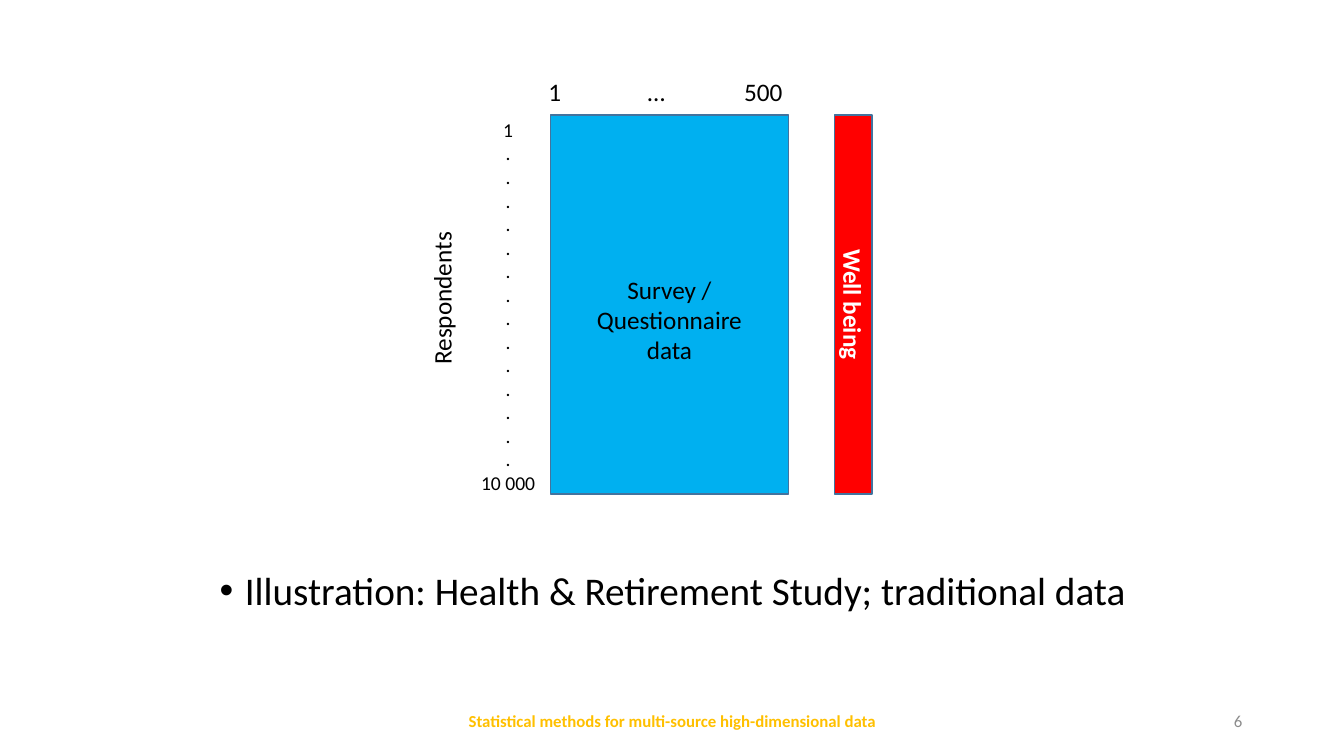
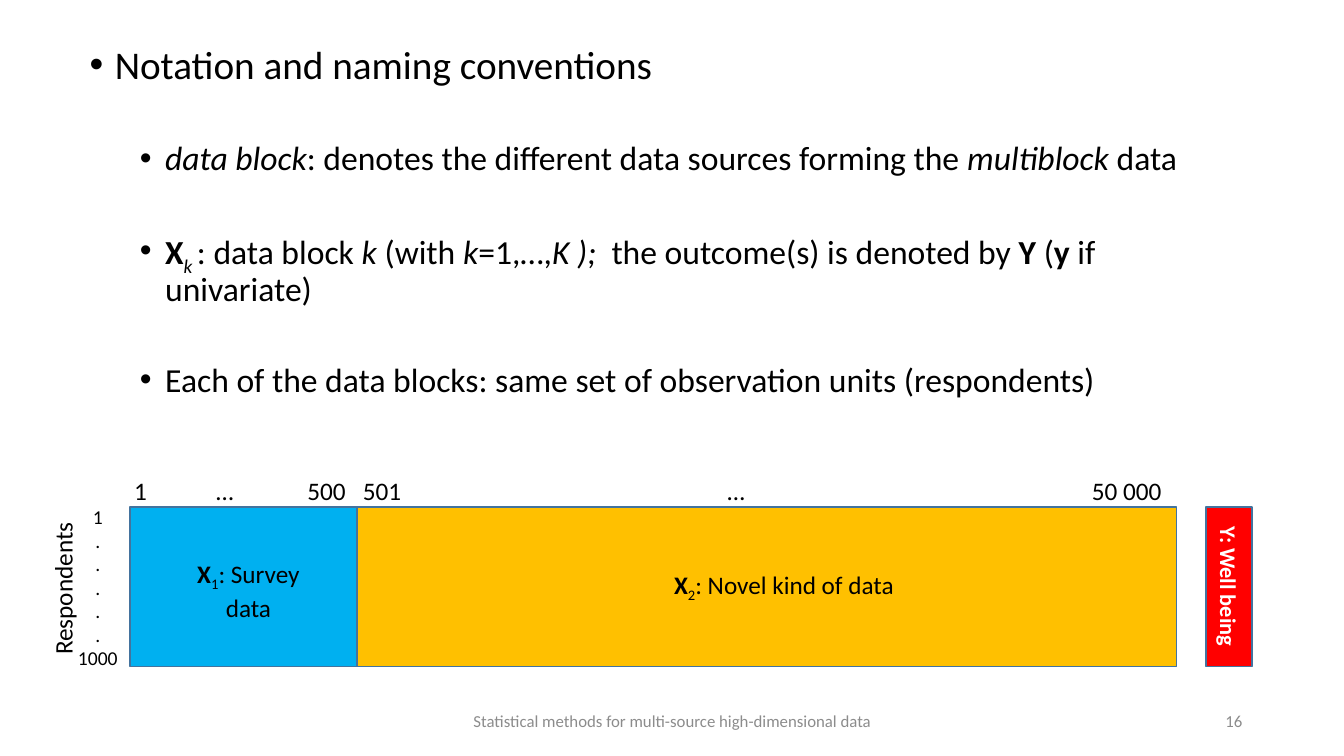
from pptx import Presentation
from pptx.dml.color import RGBColor
from pptx.enum.shapes import MSO_SHAPE as Shape
from pptx.enum.text import MSO_ANCHOR as Anchor, PP_ALIGN as Align
from pptx.oxml.ns import qn
from pptx.util import Inches, Pt
from lxml.etree import SubElement

BLACK = RGBColor(0x00, 0x00, 0x00)
WHITE = RGBColor(0xFF, 0xFF, 0xFF)
GRAY = RGBColor(0x8C, 0x8C, 0x8C)
GOLD = RGBColor(0xFF, 0xC0, 0x00)
BLUE = RGBColor(0x00, 0xB0, 0xF0)
RED = RGBColor(0xFF, 0x00, 0x00)
EDGE = RGBColor(0x43, 0x73, 0x9E)
FONT = "Calibri"
FOOTER = "Statistical methods for multi-source high-dimensional data"
INSET = (0.1, 0.05, 0.1, 0.05)


def write(frame, paragraphs, size=18, color=BLACK, bold=None,
          align=Align.CENTER, anchor=Anchor.TOP, inset=INSET):
    frame.word_wrap = True
    frame.vertical_anchor = anchor
    (frame.margin_left, frame.margin_top,
     frame.margin_right, frame.margin_bottom) = map(Inches, inset)
    for index, runs in enumerate(paragraphs):
        paragraph = frame.add_paragraph() if index else frame.paragraphs[0]
        paragraph.alignment = align
        paragraph.font.name = FONT
        paragraph.font.size = Pt(size)
        paragraph.font.color.rgb = color
        paragraph.font.bold = bold
        for words, style in [(runs, "")] if isinstance(runs, str) else runs:
            run = paragraph.add_run()
            run.text = words
            if "b" in style:
                run.font.bold = True
            if "i" in style:
                run.font.italic = True
            if "s" in style:
                run.font._element.set("baseline", "-25000")


def add_text(slide, box, paragraphs, **style):
    label = slide.shapes.add_textbox(*map(Inches, box))
    write(label.text_frame, paragraphs, **style)
    return label


def add_bullets(slide, box, items, align=Align.LEFT):
    body = add_text(slide, box, [runs for _, runs in items], align=align)
    for paragraph, (level, _) in zip(body.text_frame.paragraphs, items):
        paragraph.level = level
        paragraph.font.size = Pt(24 if level else 28)
        paragraph.line_spacing = 0.9
        paragraph.space_before = Pt(38.5 if level else 10)
        properties = paragraph._p.get_or_add_pPr()
        properties.set("marL", str(Inches(0.25 + 0.5 * level)))
        properties.set("indent", str(Inches(-0.25)))
        bullet_font = properties.makeelement(qn("a:buFont"), {"typeface": "Arial"})
        bullet = properties.makeelement(qn("a:buChar"), {"char": "•"})
        defaults = properties.find(qn("a:defRPr"))
        defaults.addprevious(bullet_font)
        defaults.addprevious(bullet)


def add_block(slide, box, fill, paragraphs, **style):
    block = slide.shapes.add_shape(Shape.RECTANGLE, *map(Inches, box))
    block.shadow.inherit = False
    block.fill.solid()
    block.fill.fore_color.rgb = fill
    block.line.color.rgb = EDGE
    block.line.width = Pt(1)
    write(block.text_frame, paragraphs, anchor=Anchor.MIDDLE, **style)
    return block


def add_outcome(slide, box, title, size):
    outcome = add_block(slide, box, RED, [title], size=size, color=WHITE,
                        bold=True, inset=(0, 0, 0, 0))
    outcome.text_frame._txBody.bodyPr.set("vert", "vert")


def add_columns(slide, block, labels, stops):
    left, top, width, _ = block
    first, middle, last = stops
    scale = add_text(slide, (left + first, top - 0.36, width, 0.4),
                     ["\t".join(labels)], align=Align.LEFT,
                     inset=(0, 0.05, 0, 0.05))
    properties = scale.text_frame.paragraphs[0]._p.get_or_add_pPr()
    tabs = properties.makeelement(qn("a:tabLst"), {})
    for stop, kind in ((middle, "ctr"), (last, "r")):
        SubElement(tabs, qn("a:tab"), pos=str(Inches(stop - first)), algn=kind)
    properties.find(qn("a:defRPr")).addprevious(tabs)


def add_respondents(slide, numbers, center, dots, last):
    x, y = center
    title = add_text(slide, (x - 1.41, y - 0.2, 2.82, 0.4), ["Respondents"])
    title.rotation = 270
    add_text(slide, numbers, ["1"] + ["."] * dots + [last],
             size=14, inset=(0, 0.05, 0, 0.05))


def add_footer(slide, number, color=GRAY, bold=None):
    add_text(slide, (4.42, 6.95, 4.5, 0.4), [FOOTER], size=12, color=color,
             bold=bold, anchor=Anchor.MIDDLE)
    add_text(slide, (9.42, 6.95, 3, 0.4), [number], size=12, color=GRAY,
             align=Align.RIGHT, anchor=Anchor.MIDDLE)


def build_illustration(slide):
    survey = (5.46, 1.14, 2.36, 3.76)
    add_block(slide, survey, BLUE, ["Survey / Questionnaire data"],
              inset=(0.4, 0.3, 0.4, 0))
    add_columns(slide, (5.46, 1.07, 2.36, 3.76), ("1", "…", "500"),
                (-0.02, 1.05, 2.3))
    add_outcome(slide, (8.28, 1.14, 0.37, 3.76), "Well being", 18)
    add_respondents(slide, (4.53, 1.12, 1.02, 3.87), (4.38, 2.96), 14, "10 000")
    add_bullets(slide, (0.92, 5.62, 11.5, 1.14),
                [(0, "Illustration: Health & Retirement Study; traditional data")],
                Align.CENTER)
    add_footer(slide, "6", GOLD, True)


def build_notation(slide):
    add_bullets(slide, (0.79, 0.4, 11.5, 4.2), [
        (0, "Notation and naming conventions"),
        (1, [("data block", "i"),
             (": denotes the different data sources forming the ", ""),
             ("multiblock", "i"), (" data", "")]),
        (1, [("X", "b"), ("k ", "is"), (": data block ", ""), ("k", "i"),
             (" (with ", ""), ("k", "i"), ("=1,…,", ""), ("K );  ", "i"),
             ("the outcome(s) is denoted by ", ""), ("Y", "b"), (" (", ""),
             ("y ", "b"), ("if univariate)", "")]),
        (1, "Each of the data blocks: same set of observation units (respondents)"),
    ])
    top, height = 5.03, 1.58
    survey = (1.29, top, 2.25, height)
    novel = (3.54, top, 8.13, height)
    add_block(slide, novel, GOLD,
              [[("X", "b"), ("2", "s"), (": Novel kind of data", "")]],
              inset=(0.34, 0, 0, 0))
    add_block(slide, survey, BLUE,
              [[("X", "b"), ("1", "s"), (": Survey", "")], "data"],
              inset=(0.1, 0.08, 0, 0))
    add_columns(slide, survey, ("1", "…", "500"), (0.04, 0.94, 2.14))
    add_columns(slide, novel, ("501", "…", "50 000"), (0.06, 3.76, 7.98))
    add_outcome(slide, (11.96, top, 0.46, height), "Y: Well being", 16)
    add_respondents(slide, (0.66, 4.96, 0.62, 1.75), (0.62, 5.84), 5, "1000")
    add_footer(slide, "16")


def main():
    deck = Presentation()
    deck.slide_width, deck.slide_height = Inches(13.33), Inches(7.5)
    for build in (build_illustration, build_notation):
        build(deck.slides.add_slide(deck.slide_layouts[6]))
    deck.save("out.pptx")


if __name__ == "__main__":
    main()
